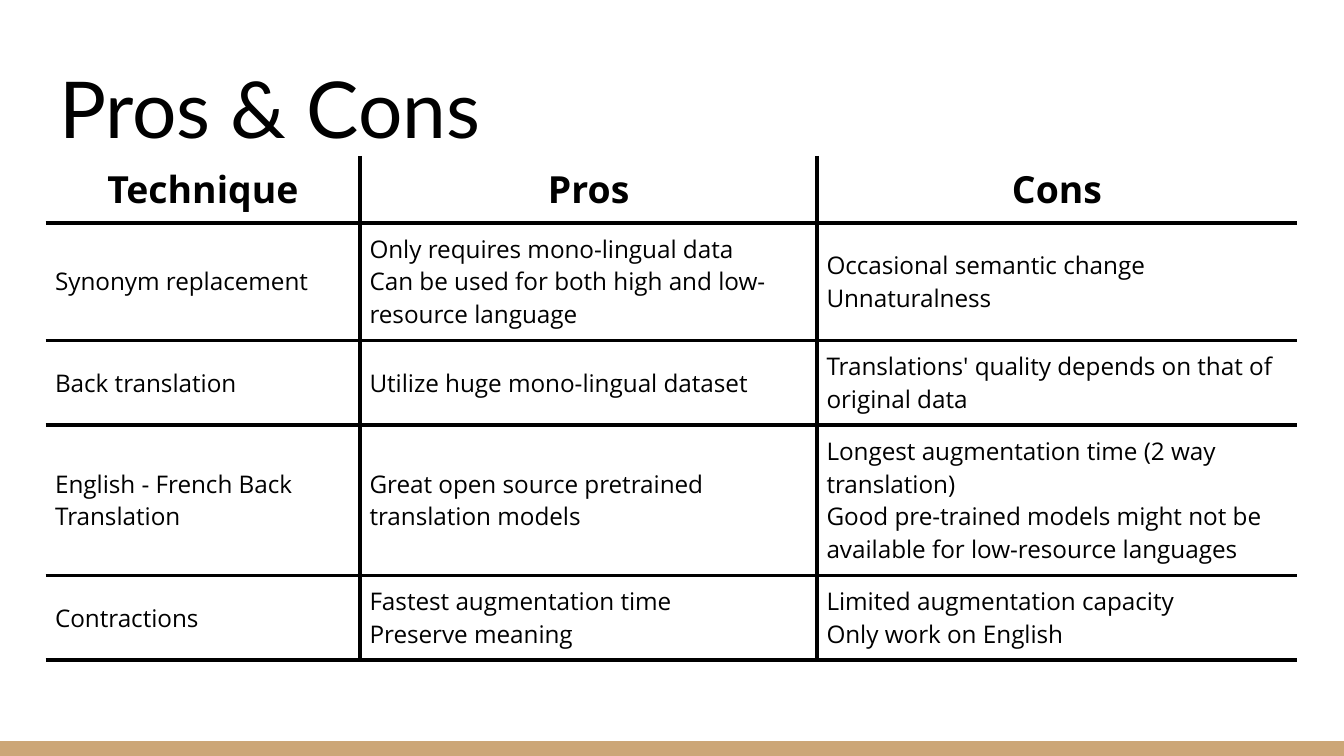
import pptx
import pptx.dml.color
import pptx.enum.shapes
import pptx.enum.text
import pptx.oxml.ns
import pptx.util
from lxml import etree

BLACK = pptx.dml.color.RGBColor(0x00, 0x00, 0x00)
TAN = pptx.dml.color.RGBColor(0xCC, 0xA6, 0x77)
WIDTH = 10
HEIGHT = WIDTH * 9 / 16
MARGIN = 0.34
TABLE_TOP = 1.16
BAND_HEIGHT = 0.11
COLUMNS = [2.34, 3.4, 3.57]
ROWS = [0.46, 0.82, 0.59, 1.06, 0.59]
CONTENT = [
    ["Technique", "Pros", "Cons"],
    ["Synonym replacement",
     "Only requires mono-lingual data\n"
     "Can be used for both high and low-resource language",
     "Occasional semantic change\nUnnaturalness"],
    ["Back translation",
     "Utilize huge mono-lingual dataset",
     "Translations' quality depends on that of original data"],
    ["English - French Back Translation",
     "Great open source pretrained translation models",
     "Longest augmentation time (2 way translation)\n"
     "Good pre-trained models might not be available for low-resource languages"],
    ["Contractions",
     "Fastest augmentation time\nPreserve meaning",
     "Limited augmentation capacity\nOnly work on English"],
]


def inches(*lengths):
    return [pptx.util.Inches(length) for length in lengths]


def write_text(frame, text, font="Open Sans", size=13, bold=False,
               align=pptx.enum.text.PP_ALIGN.LEFT):
    frame.text = text
    for para in frame.paragraphs:
        para.alignment = align
        for span in para.runs:
            span.font.name = font
            span.font.size = pptx.util.Pt(size)
            span.font.bold = bold
            span.font.color.rgb = BLACK


def set_borders(cell, visible):
    properties = cell._tc.get_or_add_tcPr()
    for side in "LRTB":
        line = etree.SubElement(properties, pptx.oxml.ns.qn(f"a:ln{side}"),
                                w=str(pptx.util.Pt(2.25)))
        if side in visible:
            fill = etree.SubElement(line, pptx.oxml.ns.qn("a:solidFill"))
            etree.SubElement(fill, pptx.oxml.ns.qn("a:srgbClr"), val=str(BLACK))
        else:
            etree.SubElement(line, pptx.oxml.ns.qn("a:noFill"))


def add_band(page):
    band = page.shapes.add_shape(
        pptx.enum.shapes.MSO_SHAPE.RECTANGLE,
        *inches(0, HEIGHT - BAND_HEIGHT, WIDTH, BAND_HEIGHT))
    band.shadow.inherit = False
    band.fill.solid()
    band.fill.fore_color.rgb = TAN
    band.line.fill.background()


def format_title(page, text):
    title = page.shapes.title
    title.left, title.top, title.width, title.height = inches(
        MARGIN, 0.35, WIDTH - 2 * MARGIN, 0.9)
    frame = title.text_frame
    frame.auto_size = pptx.enum.text.MSO_AUTO_SIZE.NONE
    frame.vertical_anchor = pptx.enum.text.MSO_ANCHOR.BOTTOM
    frame.margin_left, frame.margin_right, frame.margin_top, frame.margin_bottom = inches(
        *[0.1] * 4)
    write_text(frame, text, font="Lato", size=42)


def format_cell(cell, text, header, visible):
    cell.vertical_anchor = pptx.enum.text.MSO_ANCHOR.MIDDLE
    cell.margin_left, cell.margin_right, cell.margin_top, cell.margin_bottom = inches(
        *[0.06 if header else 0.07] * 4)
    if header:
        write_text(cell.text_frame, text, size=20, bold=True,
                   align=pptx.enum.text.PP_ALIGN.CENTER)
    else:
        write_text(cell.text_frame, text)
    set_borders(cell, visible)
    cell.fill.background()


def add_comparison(page):
    table = page.shapes.add_table(
        len(ROWS), len(COLUMNS),
        *inches(MARGIN, TABLE_TOP, sum(COLUMNS), sum(ROWS))).table
    table.first_row = table.horz_banding = False
    for column, width in zip(table.columns, COLUMNS):
        column.width = pptx.util.Inches(width)
    for row, height in zip(table.rows, ROWS):
        row.height = pptx.util.Inches(height)
    for i, texts in enumerate(CONTENT):
        for j, text in enumerate(texts):
            visible = "B"
            visible += "T" if i > 0 else ""
            visible += "L" if j > 0 else ""
            visible += "R" if j < len(COLUMNS) - 1 else ""
            format_cell(table.cell(i, j), text, i == 0, visible)


def main():
    deck = pptx.Presentation()
    deck.slide_width, deck.slide_height = inches(WIDTH, HEIGHT)
    page = deck.slides.add_slide(deck.slide_layouts.get_by_name("Title Only"))
    add_band(page)
    format_title(page, "Pros & Cons")
    add_comparison(page)
    deck.save("out.pptx")


if __name__ == "__main__":
    main()
